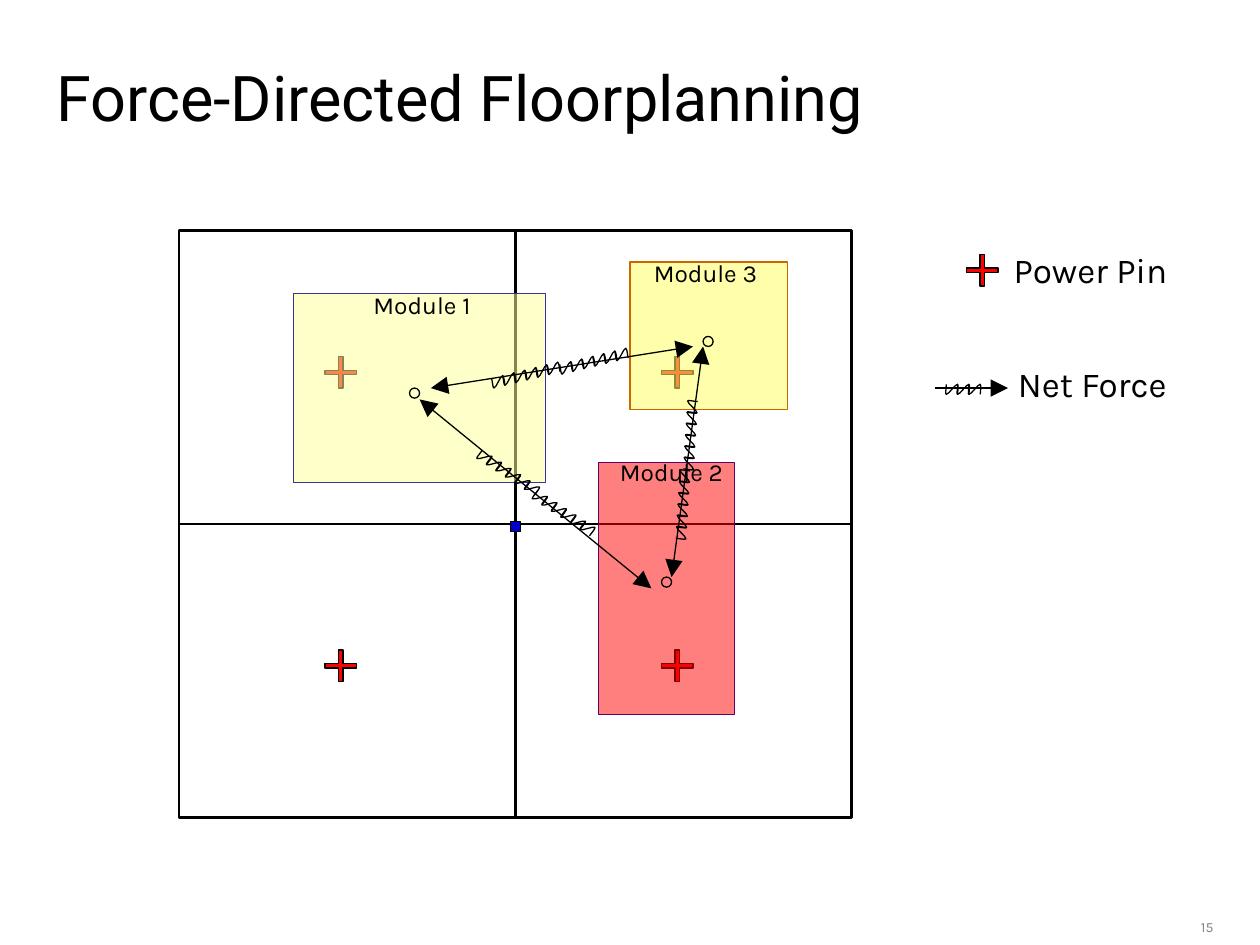
from math import cos, radians, sin

from lxml import etree
from pptx import Presentation
from pptx.dml.color import RGBColor
from pptx.enum.shapes import MSO_CONNECTOR as Connector, MSO_SHAPE as Shape
from pptx.enum.text import MSO_ANCHOR as Anchor, PP_ALIGN as Align
from pptx.oxml.ns import qn
from pptx.util import Inches, Pt

BLACK = RGBColor(0x00, 0x00, 0x00)
GRAY = RGBColor(0x80, 0x80, 0x80)
RED = RGBColor(0xFF, 0x00, 0x00)
BLUE = RGBColor(0x00, 0x00, 0xCC)
PALE_YELLOW = RGBColor(0xFF, 0xFF, 0x99)
YELLOW = RGBColor(0xFF, 0xFF, 0x66)
INDIGO = RGBColor(0x33, 0x33, 0x99)
ORANGE = RGBColor(0xCC, 0x66, 0x00)
PURPLE = RGBColor(0x66, 0x00, 0x66)

CHIP_LEFT, CHIP_TOP = 1.42, 1.83
CELL_WIDTH, CELL_HEIGHT = 2.67, 2.33
PIN_SIZE, DOT_SIZE = 0.25, 0.08
COIL_PITCH = 0.09
# Start point, then three points for each cubic curve
COIL_POINTS = [(0.01, 0), (0.01, 0.04), (0, 0.08), (0.01, 0.08), (0.03, 0.08),
               (0.08, 0), (0.1, 0), (0.11, 0), (0.1, 0.07), (0.1, 0.08)]


def style_shape(shape, fill=None, line=BLACK, weight=0.75, opacity=100):
    shape.shadow.inherit = False
    if fill is None:
        shape.fill.background()
    else:
        shape.fill.solid()
        shape.fill.fore_color.rgb = fill
        if opacity < 100:
            color = shape.fill._xPr.find(qn("a:solidFill"))[0]
            etree.SubElement(color, qn("a:alpha"), val=str(opacity * 1000))
    shape.line.color.rgb = line
    shape.line.width = Pt(weight)


def add_box(page, kind, left, top, width, height, **style):
    shape = page.shapes.add_shape(kind, Inches(left), Inches(top),
                                  Inches(width), Inches(height))
    style_shape(shape, **style)
    return shape


def add_text(page, text, left, top, width, height, size, font="Karla",
             color=BLACK, align=Align.CENTER, wrap=False, anchor=Anchor.TOP):
    box = page.shapes.add_textbox(Inches(left), Inches(top),
                                  Inches(width), Inches(height))
    frame = box.text_frame
    frame.text = text
    frame.word_wrap = wrap
    frame.vertical_anchor = anchor
    para = frame.paragraphs[0]
    para.alignment = align
    span = para.runs[0]
    span.font.size = Pt(size)
    span.font.name = font
    span.font.color.rgb = color


def add_pin(page, left, top):
    pin = add_box(page, Shape.CROSS, left, top, PIN_SIZE, PIN_SIZE, fill=RED)
    pin.adjustments[0] = 0.433


def add_module(page, name, bounds, label_place, dot_place, **style):
    add_box(page, Shape.RECTANGLE, *bounds, **style)
    add_box(page, Shape.OVAL, *dot_place, DOT_SIZE, DOT_SIZE)
    add_text(page, name, *label_place, 1.06, 0.34, 14)


def add_arrow(page, start, end, ends=("headEnd", "tailEnd")):
    arrow = page.shapes.add_connector(
        Connector.STRAIGHT, *(Inches(value) for value in start + end))
    arrow.line.color.rgb = BLACK
    arrow.line.width = Pt(0.75)
    for tag in ends:
        etree.SubElement(arrow.line._ln, qn("a:" + tag),
                         type="triangle", w="lg", len="lg")
    etree.SubElement(arrow._element.spPr, qn("a:effectLst"))


def add_coil(page, left, top, angle):
    points = [(Inches(x), Inches(y)) for x, y in COIL_POINTS]
    builder = page.shapes.build_freeform(*points[0])
    builder.add_line_segments(points[1:], close=False)
    coil = builder.convert_to_shape()
    # Turn each three straight segments into one cubic curve
    segments = list(coil._element.iter(qn("a:lnTo")))
    for first in range(0, len(segments), 3):
        curve = etree.Element(qn("a:cubicBezTo"))
        segments[first].addprevious(curve)
        for segment in segments[first:first + 3]:
            curve.append(segment[0])
            segment.getparent().remove(segment)
    coil.left, coil.top = Inches(left), Inches(top)
    coil.rotation = angle
    style_shape(coil)
    return coil


def add_spring(page, starts, angle, count):
    step_x = COIL_PITCH * cos(radians(angle))
    step_y = COIL_PITCH * sin(radians(angle))
    coils = [add_coil(page, left + i * step_x, top + i * step_y, angle)
             for left, top in starts for i in range(count)]
    page.shapes.add_group_shape(coils)


def main():
    deck = Presentation()
    deck.slide_width, deck.slide_height = Inches(10), Inches(7.5)
    page = deck.slides.add_slide(deck.slide_layouts[6])

    # Title
    add_text(page, "Force-Directed Floorplanning", 0.35, 0.35, 9, 0.83, 36,
             font="Roboto", align=Align.LEFT, wrap=True, anchor=Anchor.MIDDLE)

    # Chip quadrants, each with a power pin
    for column in range(2):
        for row in range(2):
            left = CHIP_LEFT + column * CELL_WIDTH
            top = CHIP_TOP + row * CELL_HEIGHT
            add_box(page, Shape.RECTANGLE, left, top, CELL_WIDTH, CELL_HEIGHT,
                    weight=1.5)
            add_pin(page, left + 1.16, top + 1)

    # Modules with their centres
    add_module(page, "Module 1", (2.33, 2.33, 2, 1.5), (2.82, 2.25),
               (3.25, 3.08), fill=PALE_YELLOW, line=INDIGO, opacity=52)
    add_module(page, "Module 3", (5, 2.08, 1.25, 1.17), (5.07, 2),
               (5.58, 2.67), fill=YELLOW, line=ORANGE, opacity=55)
    add_module(page, "Module 2", (4.75, 3.67, 1.08, 2), (4.8, 3.58),
               (5.25, 4.58), fill=RED, line=PURPLE, opacity=50)

    # Net forces between modules
    add_arrow(page, (5.58, 2.75), (5.33, 4.58))
    add_arrow(page, (3.33, 3.17), (5.17, 4.67))
    add_arrow(page, (3.42, 3.08), (5.5, 2.75))
    add_spring(page, [(3.79, 3.59), (4.23, 3.91)], 33, 6)
    add_spring(page, [(5.44, 3.19), (5.38, 3.74)], 93.6, 6)
    add_spring(page, [(3.9, 2.99), (4.44, 2.88)], 346.3, 6)

    # Legend
    add_pin(page, 7.67, 2.02)
    add_text(page, "Power Pin", 7.9, 1.92, 1.51, 0.44, 20)
    add_arrow(page, (7.42, 3.08), (8, 3.08), ends=("tailEnd",))
    add_spring(page, [(7.5, 3.05)], 0, 3)
    add_text(page, "Net Force", 7.94, 2.83, 1.46, 0.44, 20)

    # Chip centre and page number
    add_box(page, Shape.RECTANGLE, 4.05, 4.14, DOT_SIZE, DOT_SIZE, fill=BLUE)
    add_text(page, "15", 9.07, 7.24, 0.66, 0.17, 8, color=GRAY,
             align=Align.RIGHT, wrap=True)

    deck.save("out.pptx")


if __name__ == "__main__":
    main()
